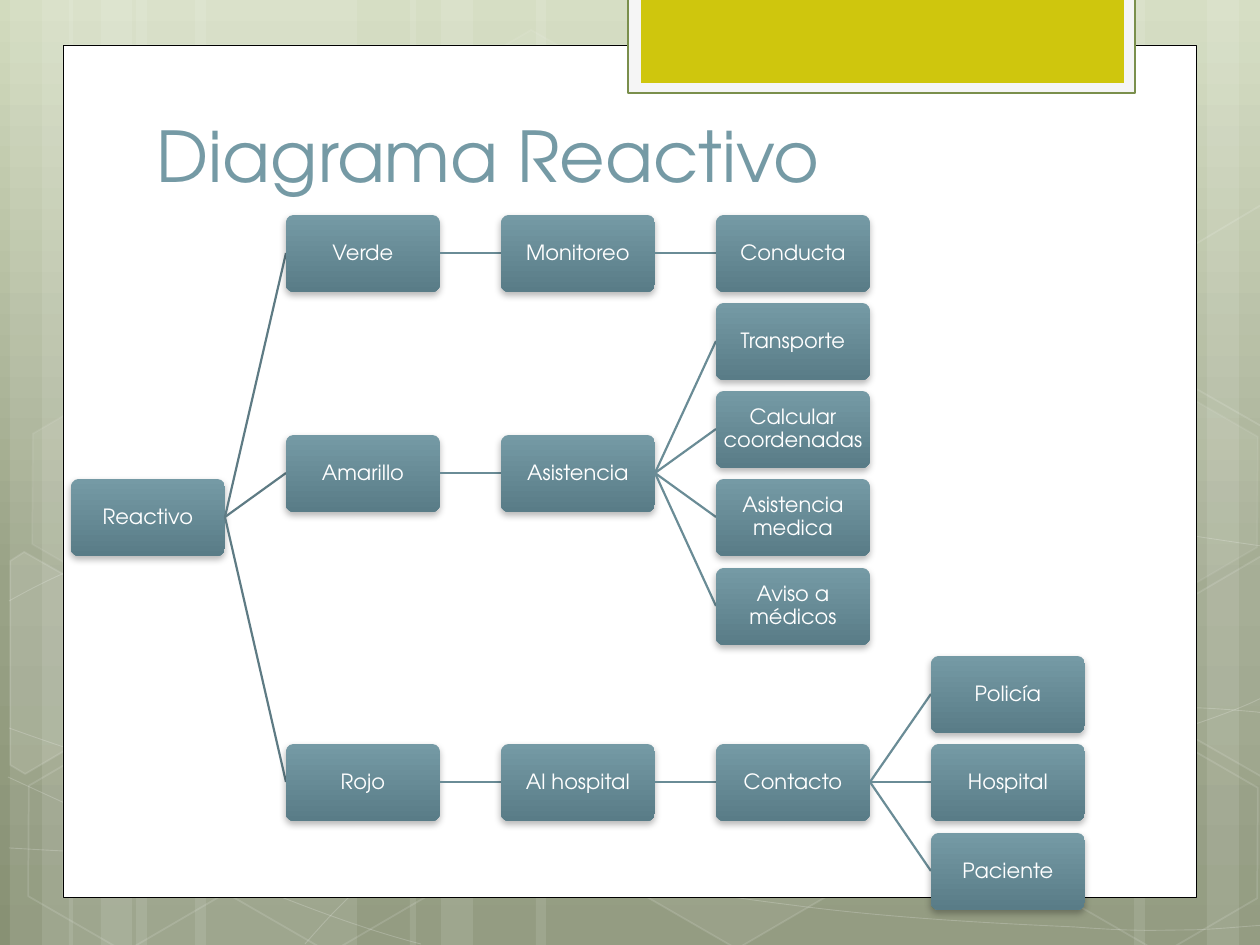
from dataclasses import dataclass
from math import cos, radians, sin
from typing import Optional

from pptx import Presentation
from pptx.dml.color import RGBColor
from pptx.enum.shapes import MSO_CONNECTOR, MSO_SHAPE
from pptx.enum.text import MSO_ANCHOR, PP_ALIGN
from pptx.oxml import parse_xml
from pptx.oxml.ns import nsdecls
from pptx.util import Pt

EMU_PER_PX = 914400 / 126
FONT = "TeX Gyre Adventor"
COLOURS = {
    "white": "FFFFFF", "black": "000000", "frame": "F5F5F5", "olive": "7A8F4C", "lime": "CFC60D",
    "title": "759AA5", "node_top": "759AA5", "node_bottom": "597C87",
    "root_link": "5E7B84", "link": "6A8C96",
    "sky": "D2DBBE", "moss": "99A286", "forest": "889174",
}
NODE_WIDTH, NODE_HEIGHT = 154, 77
FIRST_LEFT, COLUMN_STEP = 71, 215
FIRST_TOP, ROWS_SPAN, ROW_COUNT = 215, 618, 7
TILT = 30


@dataclass(frozen=True)
class Paint:
    fill: Optional[str] = None
    fill_alpha: int = 100
    line: Optional[str] = None
    line_alpha: int = 100
    width: float = 1


@dataclass(frozen=True)
class Node:
    label: str
    column: int
    row: float
    children: tuple["Node", ...] = ()

    @property
    def left(self) -> int:
        return FIRST_LEFT + COLUMN_STEP * self.column

    @property
    def top(self) -> int:
        return FIRST_TOP + int(ROWS_SPAN * self.row / ROW_COUNT)

    @property
    def middle(self) -> int:
        return self.top + NODE_HEIGHT // 2


@dataclass(frozen=True)
class Hexagon:
    left: int
    top: int
    fill_alpha: int
    line_alpha: int


@dataclass(frozen=True)
class CutHexagon:
    centre: tuple[int, int]
    fill_alpha: int
    corners: list


TREE = Node("Reactivo", 0, 3, (
    Node("Verde", 1, 0, (Node("Monitoreo", 2, 0, (Node("Conducta", 3, 0),)),)),
    Node("Amarillo", 1, 2.5, (Node("Asistencia", 2, 2.5, (
        Node("Transporte", 3, 1),
        Node("Calcular coordenadas", 3, 2),
        Node("Asistencia medica", 3, 3),
        Node("Aviso a médicos", 3, 4),
    )),)),
    Node("Rojo", 1, 6, (Node("Al hospital", 2, 6, (Node("Contacto", 3, 6, (
        Node("Policía", 4, 5),
        Node("Hospital", 4, 6),
        Node("Paciente", 4, 7),
    )),)),)),
))
STRIPES = [(136, 221), (10, 63), (42, 105), (195, 221), (69, 63), (101, 105),
           (924, 221), (1207, 63), (1134, 105), (536, 388), (410, 63), (441, 105)]
CURVES = [
    [(9, 848), (77, 852), (145, 856), (239, 854), (334, 853), (451, 851), (577, 838),
     (703, 825), (882, 801), (998, 777), (1113, 753), (1231, 716), (1269, 694)],
    [(9, 601), (45, 581), (82, 562), (152, 543), (226, 524), (326, 496), (437, 488),
     (549, 479), (685, 478), (824, 488), (963, 498), (1193, 537), (1269, 547)],
    [(8, 777), (160, 847), (311, 916), (421, 944)],
    [(9, 728), (48, 742), (88, 756), (161, 776), (234, 795), (344, 827), (450, 848),
     (554, 869), (687, 892), (791, 905), (896, 919), (1008, 924), (1075, 927),
     (1140, 932), (1158, 930), (1191, 930), (1223, 929), (1246, 926), (1269, 925)],
    [(305, 944), (328, 918), (350, 893), (381, 871), (411, 848), (454, 823), (489, 805),
     (524, 788), (546, 780), (592, 767), (638, 754), (722, 737), (766, 728),
     (811, 719), (818, 719), (857, 717), (896, 713), (958, 709), (1000, 708),
     (1045, 707), (1116, 708), (1116, 708), (1144, 708), (1173, 708), (1201, 708),
     (1224, 709), (1244, 711), (1256, 712), (1260, 713), (1264, 712), (1268, 713)],
]
HEXAGONS = [
    Hexagon(421, 45, 4, 8), Hexagon(626, 742, 6, 12), Hexagon(14, 745, 0, 12),
    Hexagon(18, 393, 7, 8), Hexagon(219, 746, 0, 12), Hexagon(949, 571, 10, 12),
    Hexagon(1051, 747, 0, 12), Hexagon(1051, 396, 7, 8),
]
CUT_HEXAGONS = [
    CutHexagon((45, 674), 10, [(10, 561), (24, 552), (121, 607), (120, 718), (25, 774), (10, 765)]),
    CutHexagon((1241, 655), 4, [(1167, 611), (1261, 556), (1271, 562), (1271, 772), (1263, 777), (1167, 722)]),
    CutHexagon((1241, 304), 0, [(1167, 261), (1261, 205), (1273, 212), (1271, 422), (1263, 427), (1167, 372)]),
]


def px(length: float) -> int:
    return round(length * EMU_PER_PX)


def colour(name: str) -> RGBColor:
    return RGBColor.from_string(COLOURS[name])


def set_alpha(shape, route: str, percent: int) -> None:
    for srgb in shape.element.spPr.xpath(route):
        srgb.append(parse_xml(f'<a:alpha {nsdecls("a")} val="{percent * 1000}"/>'))


def apply_paint(shape, paint: Paint) -> None:
    shape.shadow.inherit = False
    if paint.fill and paint.fill_alpha:
        shape.fill.solid()
        shape.fill.fore_color.rgb = colour(paint.fill)
        if paint.fill_alpha < 100:
            set_alpha(shape, "a:solidFill/a:srgbClr", paint.fill_alpha)
    else:
        shape.fill.background()
    if paint.line:
        shape.line.color.rgb = colour(paint.line)
        shape.line.width = Pt(paint.width)
        if paint.line_alpha < 100:
            set_alpha(shape, "a:ln/a:solidFill/a:srgbClr", paint.line_alpha)
    else:
        shape.line.fill.background()


def apply_gradient(fill, element, stops: list[tuple[int, str]]) -> None:
    fill.gradient()
    fill.gradient_angle = 270
    stop_list = element.xpath(".//a:gsLst")[0]
    for stop in list(stop_list):
        stop_list.remove(stop)
    for position, name in stops:
        stop_list.append(parse_xml(
            f'<a:gs {nsdecls("a")} pos="{position * 1000}"><a:srgbClr val="{COLOURS[name]}"/></a:gs>'))


def add_block(page, kind, left: int, top: int, width: int, height: int, paint: Paint):
    shape = page.shapes.add_shape(kind, px(left), px(top), px(width), px(height))
    apply_paint(shape, paint)
    return shape


def add_outline(page, points: list, closed: bool, paint: Paint):
    start, *rest = [(px(x), px(y)) for x, y in points]
    builder = page.shapes.build_freeform(*start)
    builder.add_line_segments(rest, close=closed)
    shape = builder.convert_to_shape()
    apply_paint(shape, paint)
    return shape


def add_curve(page, knots: list, paint: Paint) -> None:
    shape = add_outline(page, knots, False, paint)
    segments = shape.element.spPr.xpath(".//a:lnTo")
    for index in range(0, len(segments), 3):
        bezier = parse_xml(f'<a:cubicBezTo {nsdecls("a")}/>')
        segments[index].addprevious(bezier)
        for segment in segments[index:index + 3]:
            bezier.append(segment[0])
            segment.getparent().remove(segment)


def add_cut_hexagon(page, item: CutHexagon) -> None:
    across, down = item.centre
    cosine, sine = cos(radians(TILT)), sin(radians(TILT))
    upright = [(across + (x - across) * cosine + (y - down) * sine,
                down - (x - across) * sine + (y - down) * cosine) for x, y in item.corners]
    add_outline(page, upright, True, Paint("white", item.fill_alpha, "white", 12)).rotation = TILT


def add_span(para, text: str, size: int, name: str) -> None:
    span = para.add_run()
    span.text = text
    span.font.name = FONT
    span.font.size = Pt(size)
    span.font.color.rgb = colour(name)


def add_link(page, parent: Node, child: Node) -> None:
    link = page.shapes.add_connector(
        MSO_CONNECTOR.STRAIGHT, px(parent.left + NODE_WIDTH), px(parent.middle), px(child.left), px(child.middle))
    link.line.color.rgb = colour("link" if parent.column else "root_link")
    link.line.width = Pt(1.25)
    link.element.spPr.append(parse_xml(f'<a:effectLst {nsdecls("a")}/>'))


def add_node(page, node: Node) -> None:
    box = add_block(page, MSO_SHAPE.ROUNDED_RECTANGLE, node.left, node.top, NODE_WIDTH, NODE_HEIGHT, Paint())
    box.adjustments[0] = 0.1
    apply_gradient(box.fill, box.element, [(0, "node_top"), (100, "node_bottom")])
    box.element.spPr.xpath("a:effectLst")[0].append(parse_xml(
        f'<a:outerShdw {nsdecls("a")} blurRad="{Pt(4)}" dist="{Pt(2)}" dir="5400000" rotWithShape="0">'
        f'<a:srgbClr val="{COLOURS["black"]}"><a:alpha val="28000"/></a:srgbClr></a:outerShdw>'))
    frame = box.text_frame
    frame.word_wrap = True
    frame.vertical_anchor = MSO_ANCHOR.MIDDLE
    frame.margin_left = frame.margin_right = frame.margin_top = frame.margin_bottom = px(1)
    para = frame.paragraphs[0]
    para.alignment = PP_ALIGN.CENTER
    para.line_spacing = 0.9
    add_span(para, node.label, 12, "white")
    for child in node.children:
        add_link(page, node, child)
        add_node(page, child)


def add_backdrop(page) -> None:
    apply_gradient(page.background.fill, page.element, [(0, "sky"), (62, "moss"), (100, "forest")])
    for left, width in STRIPES:
        add_block(page, MSO_SHAPE.RECTANGLE, left, 0, width, 945, Paint("white", 10))
    for knots in CURVES:
        add_curve(page, knots, Paint(line="white", line_alpha=20, width=0.5))
    for item in HEXAGONS:
        hexagon = add_block(page, MSO_SHAPE.HEXAGON, item.left, item.top, 221, 192,
                            Paint("white", item.fill_alpha, "white", item.line_alpha))
        hexagon.adjustments[0] = 0.285
        hexagon.rotation = TILT
    for item in CUT_HEXAGONS:
        add_cut_hexagon(page, item)
    add_block(page, MSO_SHAPE.RECTANGLE, 63, 45, 1134, 853, Paint("white", line="black", width=0.5))
    add_block(page, MSO_SHAPE.RECTANGLE, 628, -3, 507, 96, Paint("frame", line="olive", width=1.25))
    add_block(page, MSO_SHAPE.RECTANGLE, 641, -3, 483, 86, Paint("lime"))


def add_title(page) -> None:
    box = page.shapes.add_textbox(px(144), px(45), px(968), px(158))
    box.text_frame.word_wrap = True
    box.text_frame.vertical_anchor = MSO_ANCHOR.BOTTOM
    add_span(box.text_frame.paragraphs[0], "Diagrama Reactivo", 40, "title")


def main() -> None:
    """Build the reactive diagram slide."""
    deck = Presentation()
    deck.slide_width, deck.slide_height = px(1260), px(945)
    page = deck.slides.add_slide(deck.slide_layouts[6])
    add_backdrop(page)
    add_title(page)
    add_node(page, TREE)
    deck.save("out.pptx")


if __name__ == "__main__":
    main()
